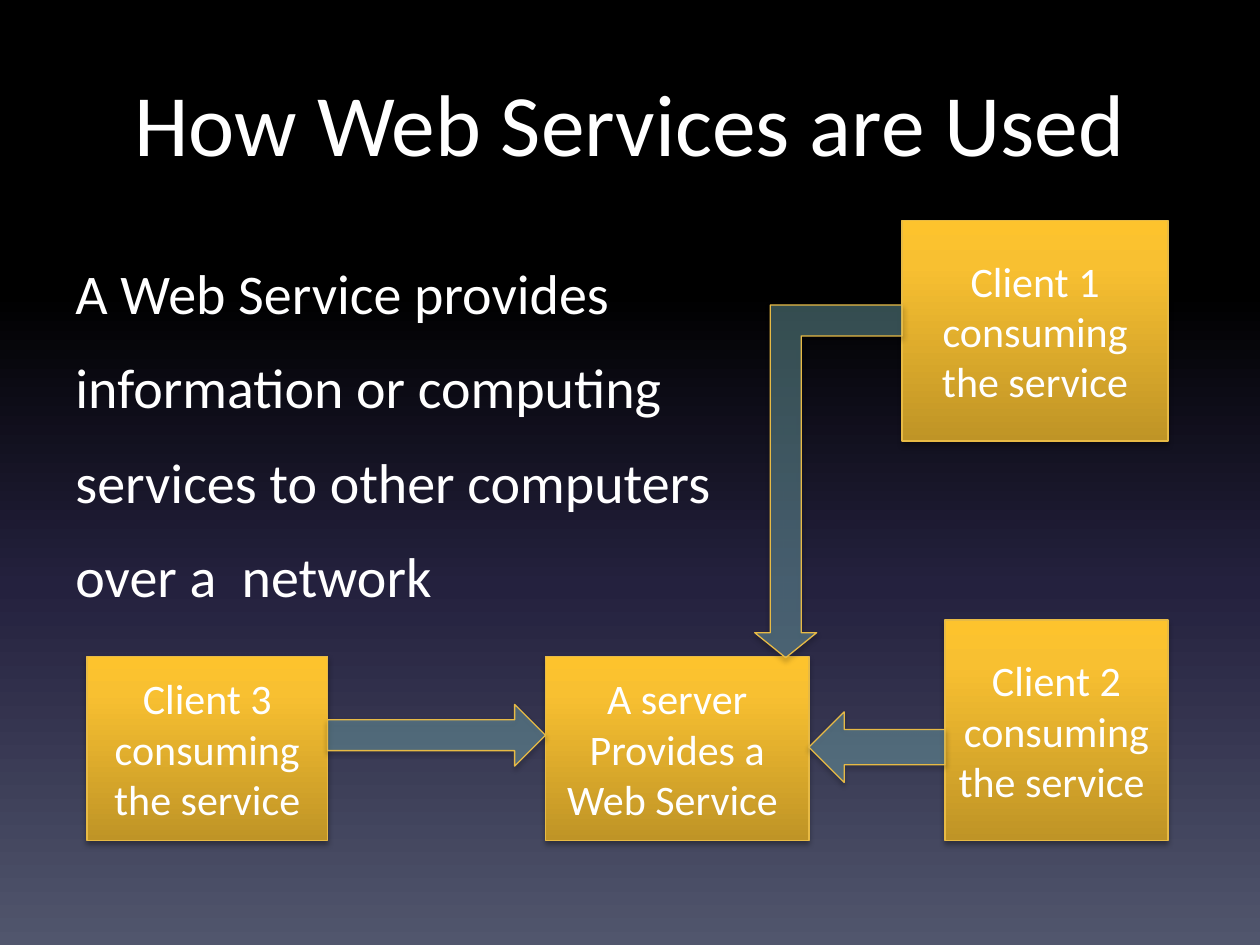
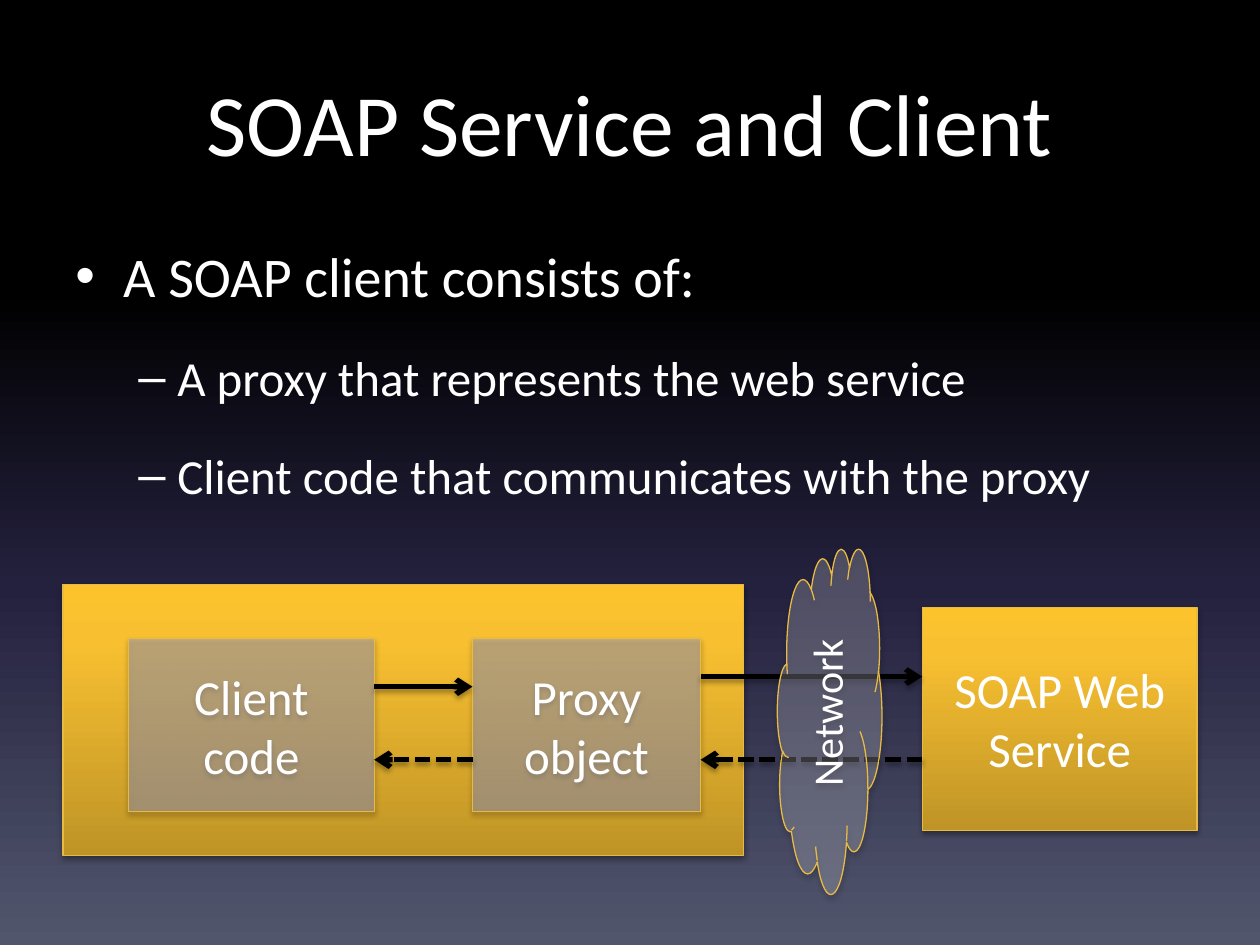
import pptx
import pptx.util
import pptx.dml.color
import pptx.enum.dml
import pptx.enum.shapes
import pptx.enum.text
import pptx.oxml.ns
import lxml.etree

Inches = pptx.util.Inches
Pt = pptx.util.Pt
RGBColor = pptx.dml.color.RGBColor
SHAPE = pptx.enum.shapes.MSO_SHAPE
ALIGN = pptx.enum.text.PP_ALIGN
ANCHOR = pptx.enum.text.MSO_ANCHOR
qn = pptx.oxml.ns.qn

FONT = "Calibri"
WHITE = RGBColor(0xFF, 0xFF, 0xFF)
BLACK = RGBColor(0x00, 0x00, 0x00)
NAVY = RGBColor(0x24, 0x21, 0x3E)
SLATE = RGBColor(0x51, 0x56, 0x6D)
BRONZE = RGBColor(0xBF, 0x94, 0x26)
AMBER = RGBColor(0xF8, 0xC0, 0x31)
GOLD = RGBColor(0xFD, 0xC3, 0x2D)
BORDER = RGBColor(0xE7, 0xBA, 0x45)
TEAL = RGBColor(0x83, 0xC1, 0xC6)
PERIWINKLE = RGBColor(0x90, 0x9C, 0xE1)
MIST = RGBColor(0xE9, 0xEA, 0xF0)

NIGHT_STOPS = [(0, BLACK), (31, BLACK), (62, NAVY), (100, SLATE)]
GOLD_STOPS = [(0, BRONZE), (80, AMBER), (100, GOLD)]


def add_xml(parent, tag, **attrs):
    """Append a child element with the given attributes and return it."""
    child = lxml.etree.SubElement(parent, qn(tag))
    for name, value in attrs.items():
        child.set(name, str(value))
    return child


class Deck:
    """Hold the shared style and the current slide."""

    def __init__(self):
        self.prs = pptx.Presentation()
        self.prs.slide_width = Inches(10)
        self.prs.slide_height = Inches(7.5)
        self.s = None

    def slide(self, title):
        """Start a slide with the night background and a title."""
        self.s = self.prs.slides.add_slide(self.prs.slide_layouts[6])
        self.gradient(self.s.background.fill, self.s.element, NIGHT_STOPS, 270)
        tf = self.text_box(0.5, 0.5, 9, 1.25)
        tf.text = title
        self.style(tf, 50, ALIGN.CENTER)

    def gradient(self, fill, element, stops, angle):
        """Fill with a linear gradient of (percent, colour) stops."""
        fill.gradient()
        fill.gradient_angle = angle
        stop_list = element.find(".//" + qn("a:gsLst"))
        for old in list(stop_list):
            stop_list.remove(old)
        for percent, color in stops:
            stop = add_xml(stop_list, "a:gs", pos=percent * 1000)
            add_xml(stop, "a:srgbClr", val=color)

    def shadow(self, shape):
        """Give a shape or connector the soft shadow below it."""
        effects = add_xml(shape.element.spPr, "a:effectLst")
        outer = add_xml(effects, "a:outerShdw", blurRad=Pt(3.1), dist=Pt(1.8),
                        dir=5400000, rotWithShape=0)
        color = add_xml(outer, "a:srgbClr", val=BLACK)
        add_xml(color, "a:alpha", val=35000)

    def style(self, tf, size, align):
        """Set alignment and font on all the text of a frame."""
        for p in tf.paragraphs:
            p.alignment = align
            for r in p.runs:
                r.font.name = FONT
                r.font.size = Pt(size)
                r.font.color.rgb = WHITE

    def text_box(self, left, top, width, height, anchor=ANCHOR.TOP):
        """Add a wrapping text box and return its frame."""
        box = self.s.shapes.add_textbox(Inches(left), Inches(top), Inches(width), Inches(height))
        tf = box.text_frame
        tf.word_wrap = True
        tf.vertical_anchor = anchor
        return tf

    def body(self, left, top, width, height, text, spacing):
        """Add the main text, centred vertically."""
        tf = self.text_box(left, top, width, height, ANCHOR.MIDDLE)
        tf.text = text
        self.style(tf, 32, ALIGN.LEFT)
        for p in tf.paragraphs:
            p.line_spacing = spacing
            p.space_before = Pt(6.4)
        return tf

    def bullet(self, p, char, margin, hang, size):
        """Turn a paragraph into a bullet with a hanging indent."""
        p.space_before = Pt(size * 0.2)
        for r in p.runs:
            r.font.size = Pt(size)
        props = p._p.get_or_add_pPr()
        props.set("marL", str(Inches(margin)))
        props.set("indent", str(-Inches(hang)))
        add_xml(props, "a:buFont", typeface="Arial")
        add_xml(props, "a:buChar", char=char)

    def shape(self, kind, left, top, width, height, tint=None, alpha=40, text="", size=24):
        """Add a bordered shape, golden or in a translucent tint."""
        sp = self.s.shapes.add_shape(kind, Inches(left), Inches(top), Inches(width), Inches(height))
        if tint is None:
            self.gradient(sp.fill, sp.element, GOLD_STOPS, 90)
        else:
            sp.fill.solid()
            sp.fill.fore_color.rgb = tint
            color = sp.element.spPr.find(qn("a:solidFill"))[0]
            add_xml(color, "a:alpha", val=alpha * 1000)
        sp.line.color.rgb = BORDER
        sp.line.width = Pt(0.75)
        self.shadow(sp)
        tf = sp.text_frame
        tf.text = text
        tf.word_wrap = True
        tf.vertical_anchor = ANCHOR.MIDDLE
        self.style(tf, size, ALIGN.CENTER)
        return sp

    def arrow(self, start, end, y, dashed=False):
        """Add a horizontal arrow from start to end."""
        line = self.s.shapes.add_connector(pptx.enum.shapes.MSO_CONNECTOR.STRAIGHT,
                                           Inches(start), Inches(y), Inches(end), Inches(y))
        line.line.color.rgb = BLACK
        line.line.width = Pt(3)
        if dashed:
            line.line.dash_style = pptx.enum.dml.MSO_LINE.SQUARE_DOT
        add_xml(line.line._get_or_add_ln(), "a:tailEnd", type="arrow")
        self.shadow(line)


def usage_slide(deck):
    """Show three clients consuming one server."""
    deck.slide("How Web Services are Used")
    deck.body(0.5, 1.75, 5.49, 3.17,
              "A Web Service provides information or computing services "
              "to other computers over a  network", 1.4)
    boxes = [
        (4.33, 5.21, 2.09, 1.46, "A server\nProvides a\nWeb Service "),
        (7.16, 1.75, 2.11, 1.75, "Client 1\nconsuming the service"),
        (7.5, 4.92, 1.77, 1.75, "Client 2 consuming the service "),
        (0.69, 5.21, 1.91, 1.46, "Client 3 consuming the service"),
    ]
    for left, top, width, height, text in boxes:
        deck.shape(SHAPE.RECTANGLE, left, top, width, height, text=text)
    deck.shape(SHAPE.RIGHT_ARROW, 2.6, 5.59, 1.73, 0.49, TEAL)
    deck.shape(SHAPE.LEFT_ARROW, 6.42, 5.65, 1.08, 0.56, TEAL)
    bent = deck.shape(SHAPE.BENT_UP_ARROW, 5.99, 2.42, 1.17, 2.8, TEAL)
    bent.rotation = 180
    for i, value in enumerate((0.21, 0.21, 0.17)):
        bent.adjustments[i] = value


def soap_slide(deck):
    """Show a SOAP client talking to its service over the network."""
    deck.slide("SOAP Service and Client")
    tf = deck.body(0.5, 1.57, 9, 2.51,
                   "A SOAP client consists of:\n"
                   "A proxy that represents the web service\n"
                   "Client code that communicates with the proxy", 1.5)
    heading, *details = tf.paragraphs
    deck.bullet(heading, "•", 0.38, 0.38, 32)
    for p in details:
        p.level = 1
        deck.bullet(p, "–", 0.81, 0.31, 28)

    deck.shape(SHAPE.RECTANGLE, 0.5, 4.64, 5.4, 2.15)
    deck.shape(SHAPE.RECTANGLE, 7.32, 4.82, 2.18, 1.77, text="SOAP Web Service", size=28)
    for left, width, text in ((1.02, 1.95, "Client code"), (3.75, 1.81, "Proxy object")):
        deck.shape(SHAPE.RECTANGLE, left, 5.07, width, 1.37, PERIWINKLE, text=text, size=28)
    for start, end, request_y in ((2.97, 3.75, 5.45), (5.56, 7.32, 5.37)):
        deck.arrow(start, end, request_y)
        deck.arrow(end, start, 6.03, dashed=True)
    cloud = deck.shape(SHAPE.CLOUD, 6.17, 4.35, 0.83, 2.74, MIST, 24, "Network")
    cloud.text_frame._txBody.bodyPr.set("vert", "vert270")


def main():
    """Build and save the slides."""
    deck = Deck()
    usage_slide(deck)
    soap_slide(deck)
    deck.prs.save("out.pptx")


if __name__ == "__main__":
    main()
